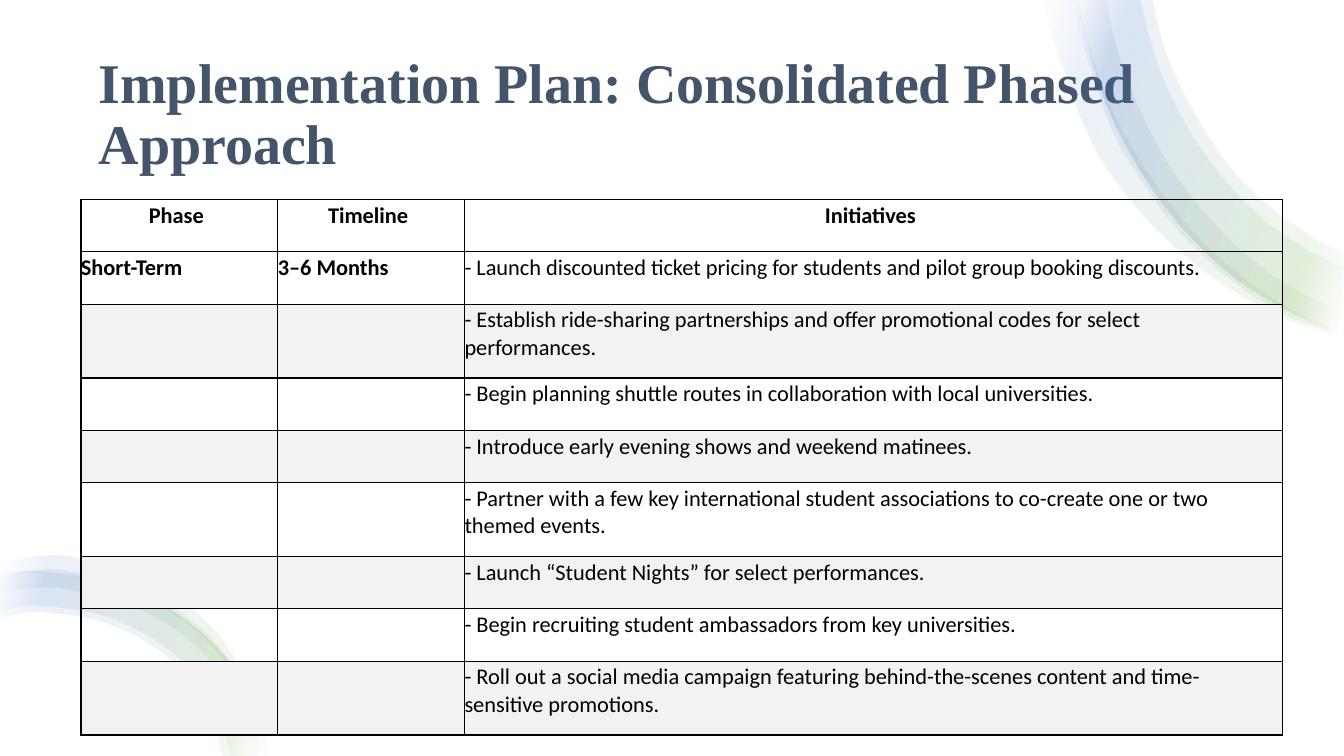
from lxml.etree import SubElement
from pptx import Presentation
from pptx.dml.color import RGBColor
from pptx.enum.shapes import MSO_SHAPE
from pptx.enum.text import MSO_ANCHOR, PP_ALIGN
from pptx.oxml.ns import qn
from pptx.util import Pt

WHITE = RGBColor(0xFF, 0xFF, 0xFF)
BLACK = RGBColor(0, 0, 0)
SLATE = RGBColor(0x44, 0x54, 0x6A)
STRIPE = RGBColor(0xF2, 0xF2, 0xF2)
GREEN = RGBColor(0x70, 0xAD, 0x47)
BLUE = RGBColor(0x44, 0x72, 0xC4)

TITLE = "Implementation Plan: Consolidated Phased Approach"
HEADINGS = ("Phase", "Timeline", "Initiatives")
PHASE, TIMELINE = "Short-Term", "3–6 Months"
INITIATIVES = [
    "- Launch discounted ticket pricing for students and pilot group booking discounts.",
    "- Establish ride-sharing partnerships and offer promotional codes for select performances.",
    "- Begin planning shuttle routes in collaboration with local universities.",
    "- Introduce early evening shows and weekend matinees.",
    "- Partner with a few key international student associations to co-create one or two themed events.",
    "- Launch “Student Nights” for select performances.",
    "- Begin recruiting student ambassadors from key universities.",
    "- Roll out a social media campaign featuring behind-the-scenes content and time-sensitive promotions.",
]
COLUMN_WIDTHS = (140.6, 133.4, 584.2)
ROW_HEIGHT, LAST_ROW_HEIGHT = 37.4, 51.1
CELL_MARGINS = {"margin_left": 0, "margin_top": Pt(1.75),
                "margin_right": Pt(4.3), "margin_bottom": Pt(12.6)}

# Ribbon edges: knots of smooth curves, in units of UNIT points
UNIT = 72
RIBBON_STOPS = [(2, WHITE), (16, GREEN), (85, BLUE), (100, WHITE)]
RIBBON_OPACITY = 10
TOP_OUTER = [(13.33, 3.32), (13.09, 3.24), (12.23, 2.74), (11.52, 2), (10.99, 1.07),
             (10.69, 0.04), (10.67, -0.09)]
BOTTOM_OUTER = [(0, 5.72), (0.4, 5.67), (1.17, 5.8), (1.85, 6.16), (2.36, 6.69),
                (2.62, 7.35), (2.63, 7.5)]
RIBBONS = [
    ([(13.33, 3.35), (12.82, 3.19), (12.21, 2.87), (11.65, 2.45), (11.16, 1.92),
      (10.78, 1.31), (10.41, 0.26), (10.36, -0.09)],
     [(10.68, -0.09), (10.73, 0.19), (10.82, 0.52), (11.06, 1.15), (11.4, 1.73),
      (11.81, 2.27), (12.3, 2.73), (12.86, 3.1), (13.33, 3.28)]),
    (TOP_OUTER,
     [(11.41, -0.09), (11.58, 0.55), (11.85, 1.12), (12.19, 1.64), (12.61, 2.06),
      (13.07, 2.38), (13.33, 2.51)]),
    ([(13.33, 3.33), (12.79, 3.14), (12.23, 2.79), (11.73, 2.33), (11.32, 1.79),
      (10.99, 1.19), (10.68, 0.2), (10.63, -0.09)],
     [(10.96, -0.09), (11.07, 0.44), (11.29, 1.04), (11.58, 1.61), (11.95, 2.11),
      (12.39, 2.55), (12.9, 2.9), (13.33, 3.08)]),
    (TOP_OUTER,
     [(11.29, -0.09), (11.47, 0.59), (11.74, 1.19), (12.1, 1.72), (12.53, 2.17),
      (13.01, 2.5), (13.33, 2.64)]),
    (BOTTOM_OUTER,
     [(2.2, 7.5), (2.06, 7), (1.66, 6.52), (1.07, 6.19), (0.4, 6.07), (0, 6.13)]),
    (BOTTOM_OUTER,
     [(2.28, 7.5), (2.12, 6.97), (1.7, 6.47), (1.09, 6.13), (0.4, 6.01), (0, 6.06)]),
    ([(0, 5.71), (0.31, 5.66), (0.69, 5.67), (1.42, 5.87), (2.03, 6.27),
      (2.47, 6.85), (2.59, 7.19), (2.63, 7.5)],
     [(2.51, 7.5), (2.47, 7.21), (2.34, 6.91), (1.92, 6.39), (1.34, 6.03),
      (0.67, 5.85), (0.33, 5.84), (0, 5.88)]),
    ([(0, 5.59), (0.31, 5.53), (0.71, 5.53), (1.48, 5.75), (2.1, 6.23),
      (2.5, 6.87), (2.64, 7.5)],
     [(2.62, 7.5), (2.58, 7.22), (2.45, 6.89), (2, 6.31), (1.39, 5.91),
      (0.69, 5.7), (0.32, 5.68), (0, 5.72)]),
]


def set_attributes(target, values):
    for name, value in values.items():
        setattr(target, name, value)


def write(frame, text, color, alignment=PP_ALIGN.LEFT, **font_values):
    para = frame.paragraphs[0]
    para.alignment = alignment
    span = para.add_run()
    span.text = text
    set_attributes(span.font, font_values)
    span.font.color.rgb = color
    return para


def bend_edge(outline, nodes):
    """Turn the straight steps between the nodes into Catmull-Rom curves."""
    knots = [(int(node[0].get("x")), int(node[0].get("y"))) for node in nodes]
    padded = [knots[0], *knots, knots[-1]]
    for node, before, start, end, after in zip(
            nodes[1:], padded, padded[1:], padded[2:], padded[3:]):
        leaving = [s + (e - b) / 6 for b, s, e in zip(before, start, end)]
        arriving = [e - (a - s) / 6 for s, e, a in zip(start, end, after)]
        curve = outline.makeelement(qn("a:cubicBezTo"))
        for x, y in (leaving, arriving, end):
            SubElement(curve, qn("a:pt"), x=str(round(x)), y=str(round(y)))
        outline.replace(node, curve)


def add_ribbon(page, outer, inner):
    points = [(Pt(x * UNIT), Pt(y * UNIT)) for x, y in outer + inner]
    builder = page.shapes.build_freeform(*points[0])
    builder.add_line_segments(points[1:], close=True)
    ribbon = builder.convert_to_shape()
    outline = next(ribbon.element.iter(qn("a:path")))
    nodes = list(outline)[:len(points)]
    bend_edge(outline, nodes[:len(outer)])
    bend_edge(outline, nodes[len(outer):])

    ribbon.shadow.inherit = False
    ribbon.line.fill.background()
    ribbon.fill.gradient()
    ribbon.fill.gradient_angle = 160
    stops = next(ribbon.element.iter(qn("a:gsLst")))
    for stop in list(stops):
        stops.remove(stop)
    for position, color in RIBBON_STOPS:
        stop = SubElement(stops, qn("a:gs"), pos=str(position * 1000))
        tint = SubElement(stop, qn("a:srgbClr"), val=str(color))
        SubElement(tint, qn("a:alpha"), val=str(RIBBON_OPACITY * 1000))


def outline_cell(cell):
    properties = cell._tc.get_or_add_tcPr()
    for index, side in enumerate(("a:lnL", "a:lnR", "a:lnT", "a:lnB")):
        line = properties.makeelement(qn(side), {"w": str(Pt(1))})
        fill = SubElement(line, qn("a:solidFill"))
        SubElement(fill, qn("a:srgbClr"), val=str(BLACK))
        properties.insert(index, line)


def add_plan_table(page):
    rows = [HEADINGS] + [("", "", initiative) for initiative in INITIATIVES]
    rows[1] = (PHASE, TIMELINE, INITIATIVES[0])
    heights = [ROW_HEIGHT] * (len(rows) - 1) + [LAST_ROW_HEIGHT]
    table = page.shapes.add_table(len(rows), len(HEADINGS), Pt(57.8), Pt(142.5),
                                  Pt(sum(COLUMN_WIDTHS)), Pt(sum(heights))).table
    set_attributes(table, {"first_row": False, "horz_banding": False})
    for column, width in zip(table.columns, COLUMN_WIDTHS):
        column.width = Pt(width)
    for r, (texts, height) in enumerate(zip(rows, heights)):
        table.rows[r].height = Pt(height)
        for c, text in enumerate(texts):
            cell = table.cell(r, c)
            set_attributes(cell, CELL_MARGINS)
            if r >= 2 and r % 2 == 0:
                cell.fill.solid()
                cell.fill.fore_color.rgb = STRIPE
            else:
                cell.fill.background()
            outline_cell(cell)
            if text:
                write(cell.text_frame, text, BLACK,
                      PP_ALIGN.CENTER if r == 0 else PP_ALIGN.LEFT,
                      name="Calibri", size=Pt(16), bold=r == 0 or c < 2)


def main():
    deck = Presentation()
    set_attributes(deck, {"slide_width": Pt(960), "slide_height": Pt(540)})
    page = deck.slides.add_slide(deck.slide_layouts[6])

    backdrop = page.shapes.add_shape(MSO_SHAPE.RECTANGLE, 0, 0, Pt(960), Pt(540))
    backdrop.shadow.inherit = False
    backdrop.fill.solid()
    backdrop.fill.fore_color.rgb = WHITE
    backdrop.line.fill.background()

    title = page.shapes.add_textbox(Pt(63.4), Pt(36), Pt(833), Pt(93.6)).text_frame
    set_attributes(title, {"word_wrap": True, "vertical_anchor": MSO_ANCHOR.MIDDLE})
    para = write(title, TITLE, SLATE, name="Times New Roman", size=Pt(40), bold=True)
    para.line_spacing = 0.9

    for outer, inner in RIBBONS:
        add_ribbon(page, outer, inner)
    add_plan_table(page)
    deck.save("out.pptx")


if __name__ == "__main__":
    main()
